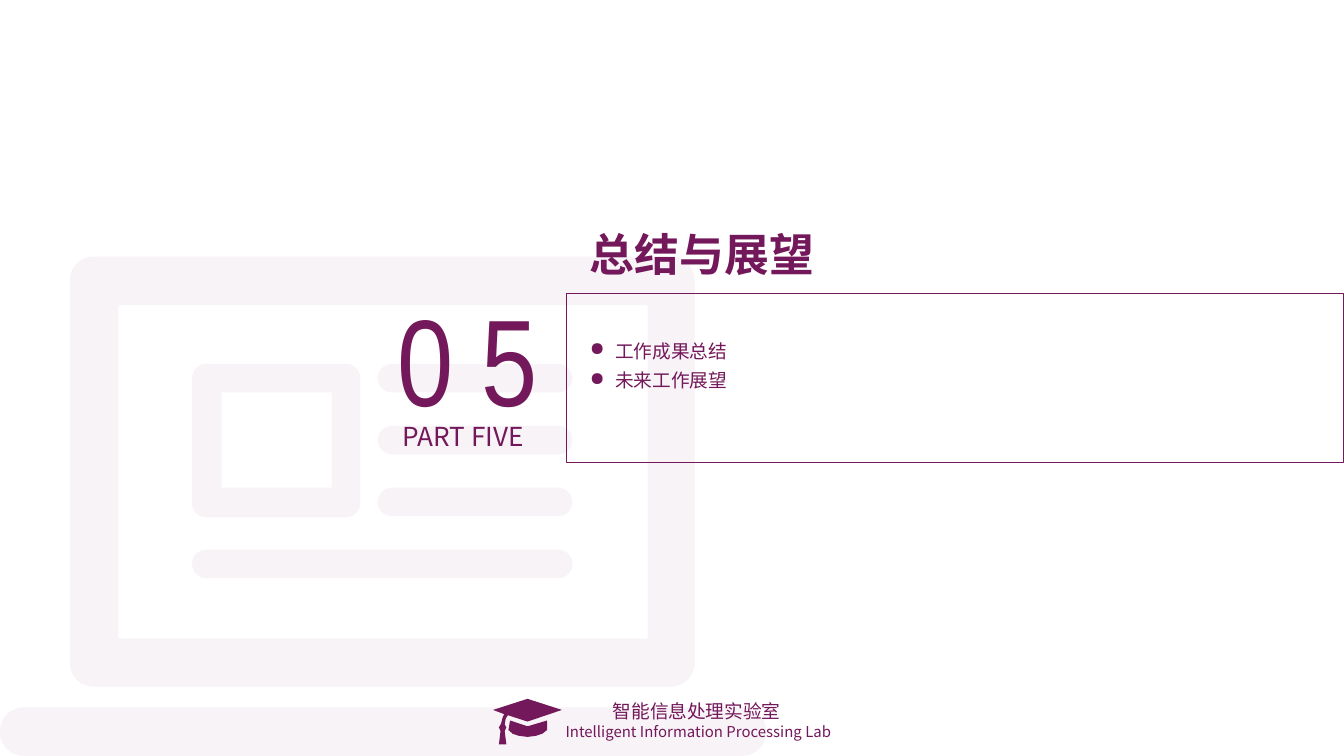
"""Build the section slide for part five, summary and outlook."""
import math

from lxml import etree
from pptx import Presentation, util as u
from pptx.dml.color import RGBColor
from pptx.enum import shapes, text
from pptx.oxml.ns import qn

COLORS = {"plum": "73185A"}
FONTS = {"body": "Noto Sans CJK SC", "number": "Arial Narrow"}
SLIDE_SIZE = (25.4, 14.29)

TITLE = ["总结与展望"]
NUMBER = ["0 5"]
PART = ["PART FIVE "]
TOPICS = ["工作成果总结", "未来工作展望"]
LAB = ["智能信息处理实验室 ", "Intelligent Information Processing Lab"]

CAP = [
    [(10.62, 13.42), (9.97, 13.64), (9.6, 13.52), (9.56, 13.58), (9.54, 13.69),
     (9.57, 13.75), (9.54, 13.82), (9.57, 14.07), (9.43, 14.07), (9.46, 13.82),
     (9.43, 13.75), (9.47, 13.68), (9.5, 13.56), (9.53, 13.5), (9.32, 13.42),
     (9.97, 13.21)],
    [(9.64, 13.62), (9.97, 13.73), (10.34, 13.62), (10.34, 13.8), (10.25, 13.87),
     (10.13, 13.91), (9.97, 13.93), (9.81, 13.91), (9.69, 13.87), (9.61, 13.8)],
]

LINE_TOP, LINE_STEP, LINE_HEIGHT = 6.88, 1.17, 0.54
TEXT_LINES = [(7.14, 10.82)] * 3 + [(3.63, 10.82)]
COMPUTER = [
    (1.32, 4.85, 13.13, 12.98, 0.45),
    (2.24, 5.77, 12.24, 12.07, 0),
    (3.63, 6.88, 6.81, 9.78, 0.27),
    (4.19, 7.42, 6.27, 9.22, 0),
    (0, 13.37, 14.48, 14.29, 0.45),
]


def rounded_box(left, top, right, bottom, radius, steps=8):
    corners = [(right - radius, bottom - radius), (left + radius, bottom - radius),
               (left + radius, top + radius), (right - radius, top + radius)]
    if not radius:
        return corners
    points = []
    for quarter, (x, y) in enumerate(corners):
        for step in range(steps + 1):
            angle = (quarter + step / steps) * math.pi / 2
            points.append((x + radius * math.cos(angle), y + radius * math.sin(angle)))
    return points


def add_outline(slide, contours, color, opacity=100):
    contours = [[(u.Cm(x), u.Cm(y)) for x, y in contour] for contour in contours]
    builder = slide.shapes.build_freeform(*contours[0][0])
    for index, contour in enumerate(contours):
        if index:
            builder.move_to(*contour[0])
        builder.add_line_segments(contour[1:], close=True)
    shape = builder.convert_to_shape()
    shape.shadow.inherit = False
    shape.fill.solid()
    shape.fill.fore_color.rgb = RGBColor.from_string(COLORS[color])
    shape.line.fill.background()
    if opacity < 100:
        fill_color = shape.fill._xPr.find(qn("a:solidFill"))[0]
        etree.SubElement(fill_color, qn("a:alpha"), val=str(opacity * 1000))


def add_bullet(paragraph, color):
    properties = paragraph._p.get_or_add_pPr()
    properties.set("marL", str(u.Cm(0.48)))
    properties.set("indent", str(-u.Cm(0.48)))
    bullet_color = etree.SubElement(properties, qn("a:buClr"))
    etree.SubElement(bullet_color, qn("a:srgbClr"), val=COLORS[color])
    etree.SubElement(properties, qn("a:buChar"), char="●")


def add_text(slide, lines, box, sizes, font="body", color="plum", bold=False, wrap=False,
             align=text.PP_ALIGN.CENTER, anchor=text.MSO_ANCHOR.TOP, bullets=False,
             spacing=None):
    frame = slide.shapes.add_textbox(*map(u.Cm, box)).text_frame
    frame.word_wrap = wrap
    frame.vertical_anchor = anchor
    for index, (line, size) in enumerate(zip(lines, sizes)):
        paragraph = frame.add_paragraph() if index else frame.paragraphs[0]
        paragraph.alignment = align
        if spacing:
            paragraph.line_spacing = u.Pt(spacing)
        if bullets:
            add_bullet(paragraph, color)
        run = paragraph.add_run()
        run.text = line
        run.font.size = u.Pt(size)
        run.font.bold = bold
        run.font.color.rgb = RGBColor.from_string(COLORS[color])
        run.font.name = FONTS[font]
        etree.SubElement(run._r.get_or_add_rPr(), qn("a:ea"), typeface=FONTS[font])


def add_frame(slide, box, color):
    shape = slide.shapes.add_shape(shapes.MSO_SHAPE.RECTANGLE, *map(u.Cm, box))
    shape.shadow.inherit = False
    shape.fill.background()
    shape.line.color.rgb = RGBColor.from_string(COLORS[color])
    shape.line.width = u.Pt(0.5)


def main():
    presentation = Presentation()
    presentation.slide_width, presentation.slide_height = map(u.Cm, SLIDE_SIZE)
    slide = presentation.slides.add_slide(presentation.slide_layouts[6])

    add_text(slide, LAB, (10.36, 13.11, 5.69, 1.04), (10, 8))
    add_outline(slide, CAP, "plum")

    boxes = list(COMPUTER)
    for row, (left, right) in enumerate(TEXT_LINES):
        top = LINE_TOP + row * LINE_STEP
        boxes.append((left, top, right, top + LINE_HEIGHT, LINE_HEIGHT / 2))
    add_outline(slide, [rounded_box(*box) for box in boxes], "plum", opacity=5)

    add_frame(slide, (10.7, 5.54, 14.7, 3.2), "plum")
    add_text(slide, TITLE, (10.9, 4.14, 10.21, 1.32), [24], bold=True, wrap=True,
             align=text.PP_ALIGN.LEFT, anchor=text.MSO_ANCHOR.MIDDLE)
    add_text(slide, NUMBER, (7.11, 5.23, 3.45, 3.07), [66], font="number")
    add_text(slide, TOPICS, (10.9, 6.15, 3.12, 1.4), (10, 10), bullets=True, spacing=16,
             align=text.PP_ALIGN.LEFT)
    add_text(slide, PART, (7.29, 7.82, 3.05, 0.86), [14], wrap=True)

    presentation.save("out.pptx")


if __name__ == "__main__":
    main()
